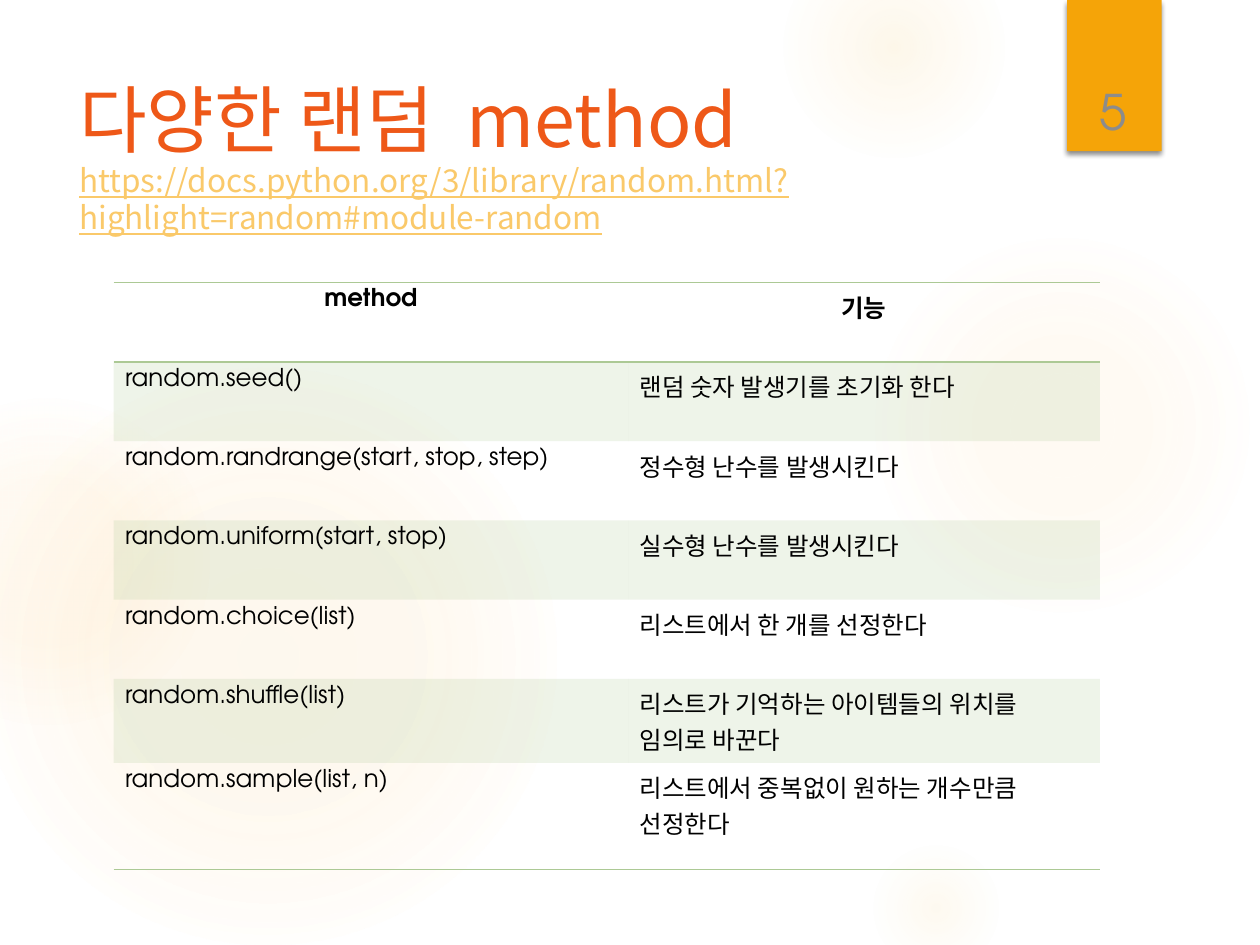
from dataclasses import dataclass

from lxml import etree
from pptx import Presentation
from pptx.dml.color import RGBColor as RGB
from pptx.enum.shapes import MSO_SHAPE as Kind
from pptx.enum.text import MSO_ANCHOR as Anchor, PP_ALIGN as Align
from pptx.oxml import parse_xml
from pptx.oxml.ns import nsdecls, qn
from pptx.util import Pt


@dataclass(frozen=True)
class Theme:
    latin: str = "TeX Gyre Adventor"
    hangul: str = "Noto Sans CJK KR"
    glow: str = "FAC96A"
    tab: str = "F5A408"
    title: str = "EE5818"
    page: str = "8C8C8C"
    ink: str = "000000"
    green: str = "ACC995"
    head_size: int = 42
    link_size: int = 18
    page_size: int = 28
    cell_size: int = 14


theme = Theme()


def add_run(para, text, size, color, face):
    run = para.add_run()
    run.text = text
    font = run.font
    font.size, font.name = Pt(size), face
    font.color.rgb = RGB.from_string(color)
    east = etree.SubElement(run._r.get_or_add_rPr(), qn("a:ea"))
    east.set("typeface", theme.hangul)
    return run


def add_text(left, top, width, height):
    """Add an empty wrapping text box and return its frame."""
    frame = slide.shapes.add_textbox(Pt(left), Pt(top), Pt(width), Pt(height)).text_frame
    frame.word_wrap = True
    return frame


deck = Presentation()
deck.slide_width, deck.slide_height = Pt(720), Pt(540)
slide = deck.slides.add_slide(deck.slide_layouts[6])

# Soft glows: left, top, diameter, then (stop, alpha) in percent
glows = [
    (496, 132, 222, [(0, 7), (36, 6), (69, 0)]),
    (448, -36, 126, [(0, 14), (36, 7), (73, 0)]),
    (496, 480, 78, [(0, 10), (31, 5), (66, 0)]),
    (-12, 210, 330, [(0, 11), (36, 10), (75, 0)]),
    (-66, 228, 186, [(0, 8), (36, 8), (72, 0)]),
]
for left, top, size, stops in glows:
    glow = slide.shapes.add_shape(Kind.OVAL, Pt(left), Pt(top), Pt(size), Pt(size))
    glow.shadow.inherit = False
    glow.line.fill.background()
    marks = "".join(
        f'<a:gs pos="{pos * 1000}"><a:srgbClr val="{theme.glow}">'
        f'<a:alpha val="{alpha * 1000}"/></a:srgbClr></a:gs>'
        for pos, alpha in stops
    )
    grad = parse_xml(
        f'<a:gradFill {nsdecls("a")} rotWithShape="1"><a:gsLst>{marks}</a:gsLst>'
        '<a:path path="circle"><a:fillToRect l="50000" t="50000" r="50000" b="50000"/>'
        "</a:path></a:gradFill>"
    )
    glow._element.spPr.find(qn("a:prstGeom")).addnext(grad)

# Page tab
tab = slide.shapes.add_shape(Kind.RECTANGLE, Pt(609.8), Pt(0), Pt(54), Pt(86.4))
tab.shadow.inherit = False
tab.fill.solid()
tab.fill.fore_color.rgb = RGB.from_string(theme.tab)
tab.line.fill.background()
tab._element.spPr.find(qn("a:effectLst")).append(parse_xml(
    f'<a:outerShdw {nsdecls("a")} blurRad="{Pt(3)}" dist="{Pt(2)}" dir="5400000" '
    f'rotWithShape="0"><a:srgbClr val="{theme.ink}"><a:alpha val="45000"/>'
    "</a:srgbClr></a:outerShdw>"
))

# Title and link
frame = add_text(38.2, 36, 555.8, 110)
head = frame.paragraphs[0]
head.line_spacing = Pt(53)
add_run(head, "다양한 랜덤", theme.head_size, theme.title, theme.hangul)
gap = add_run(head, " ", theme.head_size, theme.title, theme.hangul)
gap._r.get_or_add_rPr().set("spc", "940")
add_run(head, "method", theme.head_size, theme.title, theme.hangul)
link = frame.add_paragraph()
link.line_spacing = Pt(21)
url = "https://docs.python.org/3/library/random.html?highlight=random#module-random"
add_run(link, url, theme.link_size, theme.glow, theme.hangul).font.underline = True

# Method table
rows = [
    ("method", "기능"),
    ("random.seed()", "랜덤 숫자 발생기를 초기화 한다"),
    ("random.randrange(start, stop, step)", "정수형 난수를 발생시킨다"),
    ("random.uniform(start, stop)", "실수형 난수를 발생시킨다"),
    ("random.choice(list)", "리스트에서 한 개를 선정한다"),
    ("random.shuffle(list)", "리스트가 기억하는 아이템들의 위치를 임의로 바꾼다"),
    ("random.sample(list, n)", "리스트에서 중복없이 원하는 개수만큼 선정한다"),
]
last = len(rows) - 1
edges = {0: ("lnT", "lnB"), last: ("lnB",)}
table = slide.shapes.add_table(len(rows), 2, Pt(65), Pt(161.5), Pt(563.5), Pt(335)).table
table.first_row = table.horz_banding = False
plain = "{2D5ABB26-0587-4C30-8999-92F81FD0307C}"
table._tbl.tblPr.find(qn("a:tableStyleId")).text = plain
for col, width in zip(table.columns, (294, 269.5)):
    col.width = Pt(width)
for row, line in enumerate(rows):
    table.rows[row].height = Pt({last - 1: 48, last: 61}.get(row, 45.3))
    for col, text in enumerate(line):
        cell = table.cell(row, col)
        cell.margin_left = cell.margin_right = Pt(6.5)
        cell.margin_top = cell.margin_bottom = Pt(3.6)
        para = cell.text_frame.paragraphs[0]
        para.alignment = Align.LEFT if row else Align.CENTER
        run = add_run(para, text, theme.cell_size, theme.ink, theme.latin)
        run.font.bold = row == 0
        if row % 2:
            cell.fill.solid()
            cell.fill.fore_color.rgb = RGB.from_string(theme.green)
            tint = cell._tc.tcPr.find(".//" + qn("a:srgbClr"))
            etree.SubElement(tint, qn("a:alpha")).set("val", "20000")
        else:
            cell.fill.background()
        for spot, edge in enumerate(edges.get(row, ())):
            cell._tc.tcPr.insert(spot, parse_xml(
                f'<a:{edge} {nsdecls("a")} w="{Pt(1)}"><a:solidFill>'
                f'<a:srgbClr val="{theme.green}"/></a:solidFill></a:{edge}>'
            ))

# Page number
frame = add_text(611.3, 23, 49.7, 60.5)
frame.vertical_anchor = Anchor.BOTTOM
para = frame.paragraphs[0]
para.alignment = Align.CENTER
add_run(para, "5", theme.page_size, theme.page, theme.latin)

deck.save("out.pptx")
